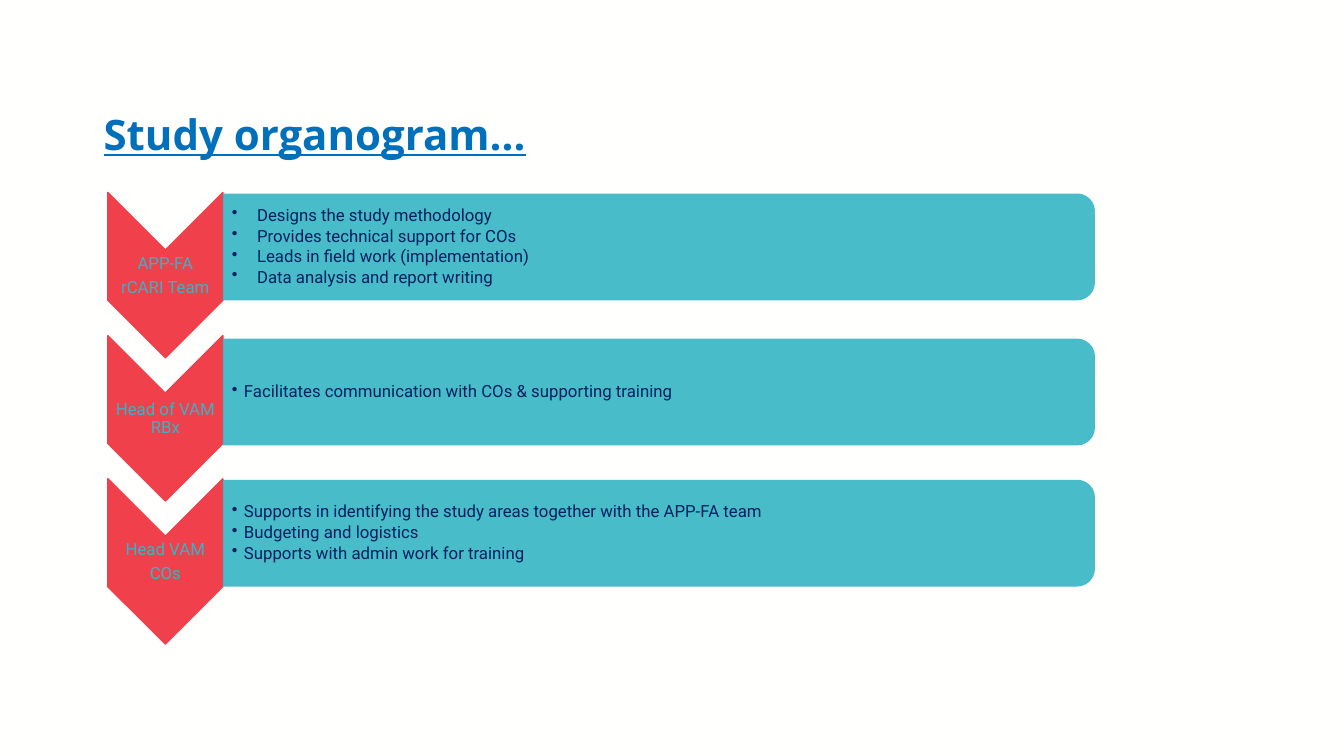
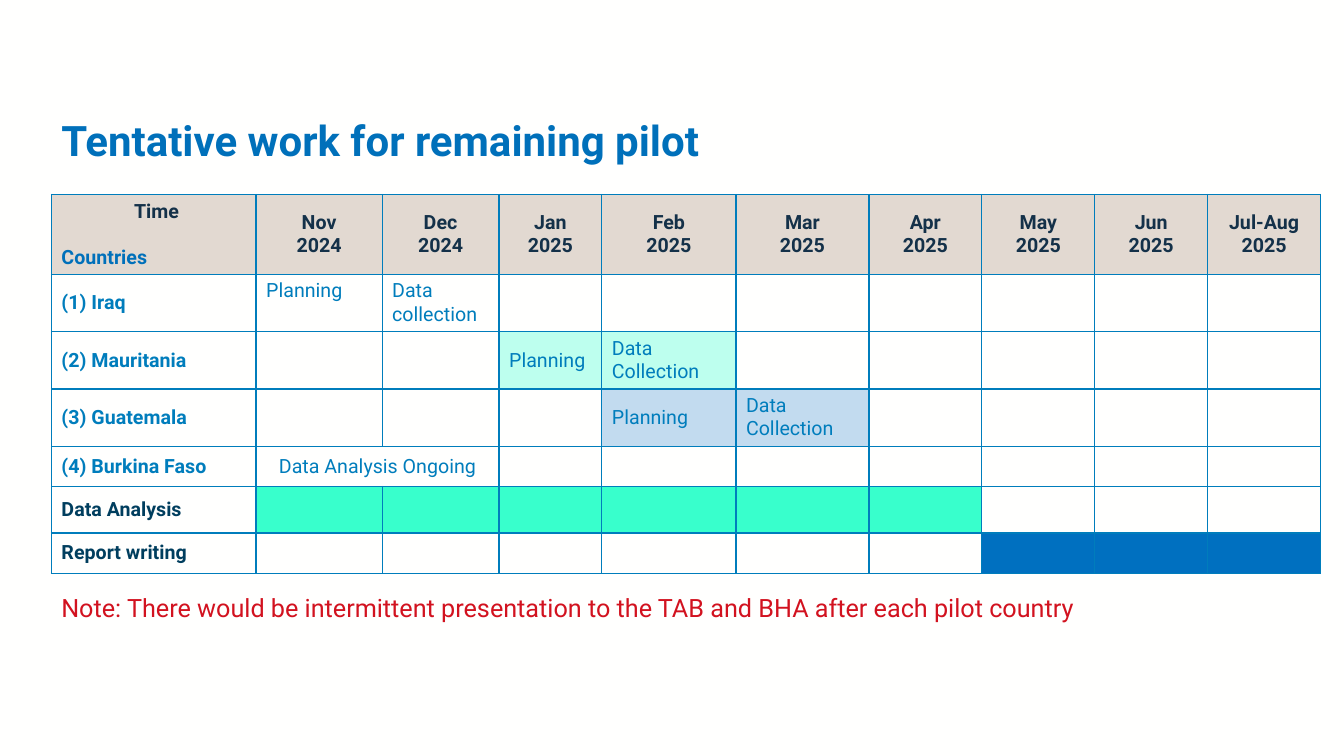
"""Build the study organogram and the pilot timetable slides."""
from dataclasses import dataclass

from lxml.etree import SubElement
from pptx import Presentation
from pptx.dml.color import RGBColor
from pptx.enum.shapes import MSO_SHAPE as Preset
from pptx.enum.text import MSO_ANCHOR as Anchor, PP_ALIGN as Align
from pptx.oxml.ns import qn
from pptx.util import Pt

PX = 9144
SLIDE_SIZE = (1333, 750)


@dataclass(frozen=True)
class Theme:
    background: str = "FFFFFE"
    title: str = "0070BA"
    chevron: str = "EF404C"
    teal: str = "36B5C5"
    navy: str = "002060"
    grid: str = "007DBC"
    header_fill: str = "E2D9D1"
    header_text: str = "143149"
    summary_text: str = "003E5E"
    mint: str = "BDFFEE"
    pale_blue: str = "C2DBEF"
    green: str = "38FFCC"
    blue: str = "0070C0"
    note: str = "D2121F"
    font: str = "Roboto"
    title_font: str = "Open Sans"
    title_size: int = 30
    note_size: int = 18
    table_size: int = 14
    body_size: int = 12


THEME = Theme()

ORGANOGRAM_TITLE = "Study organogram…"
TEAMS = [
    {"name": ["APP-FA", "rCARI Team"], "panel_top": 192, "indent": 25,
     "duties": ["Designs the study methodology",
                "Provides technical support for COs",
                "Leads in field work (implementation)",
                "Data analysis and report writing"]},
    {"name": ["Head of VAM RBx"], "panel_top": 336, "indent": 12,
     "duties": ["Facilitates communication with COs & supporting training"]},
    {"name": ["Head VAM", "COs"], "panel_top": 476, "indent": 12,
     "duties": ["Supports in identifying the study areas together with the APP-FA team",
                "Budgeting and logistics",
                "Supports with admin work for training"]},
]

TIMETABLE_TITLE = "Tentative work for remaining pilot"
CORNER = ["Time", "Countries"]
CORNER_WIDTH = 203
MONTHS = [("Nov", "2024", 125), ("Dec", "2024", 116), ("Jan", "2025", 102),
          ("Feb", "2025", 133), ("Mar", "2025", 132), ("Apr", "2025", 112),
          ("May", "2025", 112), ("Jun", "2025", 112), ("Jul-Aug", "2025", 112)]
HEADER_HEIGHT = 79
ROWS = [("(1) Iraq", 56, THEME.grid), ("(2) Mauritania", 56, THEME.grid),
        ("(3) Guatemala", 56, THEME.grid), ("(4) Burkina Faso", 40, THEME.grid),
        ("Data Analysis", 46, THEME.summary_text),
        ("Report writing", 40, THEME.summary_text)]
TASKS = [(1, 1, "Planning", Anchor.TOP, Align.LEFT),
         (1, 2, "Data collection", Anchor.TOP, Align.LEFT),
         (2, 3, "Planning", Anchor.MIDDLE, Align.LEFT),
         (2, 4, "Data Collection", Anchor.MIDDLE, Align.LEFT),
         (3, 4, "Planning", Anchor.MIDDLE, Align.LEFT),
         (3, 5, "Data Collection", Anchor.MIDDLE, Align.LEFT),
         (4, 1, "Data Analysis Ongoing", Anchor.MIDDLE, Align.CENTER)]
BARS = [(2, 3, 4, THEME.mint), (3, 4, 5, THEME.pale_blue),
        (5, 1, 6, THEME.green), (6, 7, 9, THEME.blue)]
NOTE = "Note: There would be intermittent presentation to the TAB and BHA after each pilot country"


def px(*lengths):
    return [round(length * PX) for length in lengths]


def rgb(code):
    return RGBColor.from_string(code)


def write(frame, lines, *, size, color, font=THEME.font, bold=False, underline=False,
          align=Align.LEFT, spacing=None, after=None, bullet_indent=0):
    for index, line in enumerate(lines):
        paragraph = frame.add_paragraph() if index else frame.paragraphs[0]
        if bullet_indent:
            properties = paragraph._p.get_or_add_pPr()
            indent = px(bullet_indent)[0]
            properties.set("marL", str(indent))
            properties.set("indent", str(-indent))
            SubElement(properties, qn("a:buChar"), char="•")
        paragraph.alignment = align
        paragraph.line_spacing = spacing
        paragraph.space_after = None if after is None else Pt(after)
        run = paragraph.add_run()
        run.text = line
        run.font.name = font
        run.font.size = Pt(size)
        run.font.bold = bold
        run.font.underline = underline
        run.font.color.rgb = rgb(color)
    return frame.paragraphs


def add_text(slide, box, lines, *, anchor=Anchor.MIDDLE, margins=(10, 5, 10, 5), **text_format):
    frame = slide.shapes.add_textbox(*px(*box)).text_frame
    frame.word_wrap = True
    frame.vertical_anchor = anchor
    (frame.margin_left, frame.margin_top,
     frame.margin_right, frame.margin_bottom) = px(*margins)
    write(frame, lines, **text_format)


def add_title(slide, box, text, **text_format):
    add_text(slide, box, [text], size=THEME.title_size, color=THEME.title,
             bold=True, spacing=0.9, **text_format)


def add_turned_shape(slide, preset, box, color):
    left, top, width, height = box
    shift = (width - height) / 2
    shape = slide.shapes.add_shape(preset, *px(left + shift, top - shift, height, width))
    shape.rotation = 90
    shape.shadow.inherit = False
    shape.fill.solid()
    shape.fill.fore_color.rgb = rgb(color)
    return shape


def add_team(slide, index, team):
    chevron_top = 191 + 142 * index
    chevron = add_turned_shape(slide, Preset.CHEVRON, (107, chevron_top, 114, 164), THEME.chevron)
    chevron.line.color.rgb = rgb(THEME.chevron)
    chevron.line.width = Pt(1)
    add_text(slide, (107, chevron_top + 58, 114, 49), team["name"], margins=(1, 1, 1, 1),
             size=THEME.body_size, color=THEME.teal, align=Align.CENTER, spacing=0.9, after=4.2)

    panel_top = team["panel_top"]
    panel = add_turned_shape(slide, Preset.ROUND_2_SAME_RECTANGLE,
                             (221, panel_top, 865, 106), THEME.teal)
    panel.line.fill.background()
    color = panel.fill._xPr.find(qn("a:solidFill"))[0]
    SubElement(color, qn("a:alpha"), val="90000")
    add_text(slide, (221, panel_top + 5, 860, 96), team["duties"], margins=(9, 1, 1, 1),
             size=THEME.body_size, color=THEME.navy, spacing=0.9, after=1.8,
             bullet_indent=team["indent"])


def outline_cell(cell):
    properties = cell._tc.get_or_add_tcPr()
    for side in ("L", "R", "T", "B"):
        line = SubElement(properties, qn(f"a:ln{side}"), w=str(Pt(1)))
        fill = SubElement(line, qn("a:solidFill"))
        SubElement(fill, qn("a:srgbClr"), val=THEME.grid)


def fill_cell(cell, color):
    cell.fill.solid()
    cell.fill.fore_color.rgb = rgb(color)


def write_cell(cell, lines, *, color, anchor=Anchor.MIDDLE, **text_format):
    cell.vertical_anchor = anchor
    return write(cell.text_frame, lines, size=THEME.table_size, color=color, **text_format)


def add_timetable(slide, left, top):
    widths = [CORNER_WIDTH] + [width for _, _, width in MONTHS]
    heights = [HEADER_HEIGHT] + [height for _, height, _ in ROWS]
    table = slide.shapes.add_table(len(heights), len(widths),
                                   *px(left, top, sum(widths), sum(heights))).table
    table.first_row = table.horz_banding = False
    for column, width in zip(table.columns, px(*widths)):
        column.width = width
    for row, height in zip(table.rows, px(*heights)):
        row.height = height
    for cell in table.iter_cells():
        outline_cell(cell)
        cell.fill.background()

    for column in range(len(widths)):
        fill_cell(table.cell(0, column), THEME.header_fill)
    time, countries = write_cell(table.cell(0, 0), CORNER, color=THEME.header_text,
                                 anchor=Anchor.BOTTOM, bold=True)
    time._p.get_or_add_pPr().set("marL", str(px(72)[0]))
    countries.space_before = Pt(16.4)
    countries.runs[0].font.color.rgb = rgb(THEME.title)
    for column, (month, year, _) in enumerate(MONTHS, 1):
        write_cell(table.cell(0, column), [month, year], color=THEME.header_text,
                   bold=True, align=Align.CENTER)

    for row, (label, _, color) in enumerate(ROWS, 1):
        write_cell(table.cell(row, 0), [label], color=color, bold=True)
    table.cell(4, 1).merge(table.cell(4, 2))
    for row, column, task, anchor, align in TASKS:
        write_cell(table.cell(row, column), [task], color=THEME.grid, anchor=anchor, align=align)
    for row, first, last, color in BARS:
        for column in range(first, last + 1):
            fill_cell(table.cell(row, column), color)


def add_slide(presentation):
    slide = presentation.slides.add_slide(presentation.slide_layouts[6])
    slide.background.fill.solid()
    slide.background.fill.fore_color.rgb = rgb(THEME.background)
    return slide


def main():
    presentation = Presentation()
    presentation.slide_width, presentation.slide_height = px(*SLIDE_SIZE)

    organogram = add_slide(presentation)
    add_title(organogram, (93, 73, 1153, 126), ORGANOGRAM_TITLE,
              font=THEME.title_font, underline=True)
    for index, team in enumerate(TEAMS):
        add_team(organogram, index, team)

    timetable = add_slide(presentation)
    add_timetable(timetable, 51, 193)
    add_title(timetable, (51, 106, 1129, 72), TIMETABLE_TITLE)
    add_text(timetable, (51, 583, 1167, 41), [NOTE], anchor=Anchor.TOP,
             size=THEME.note_size, color=THEME.note)

    presentation.save("out.pptx")


if __name__ == "__main__":
    main()
